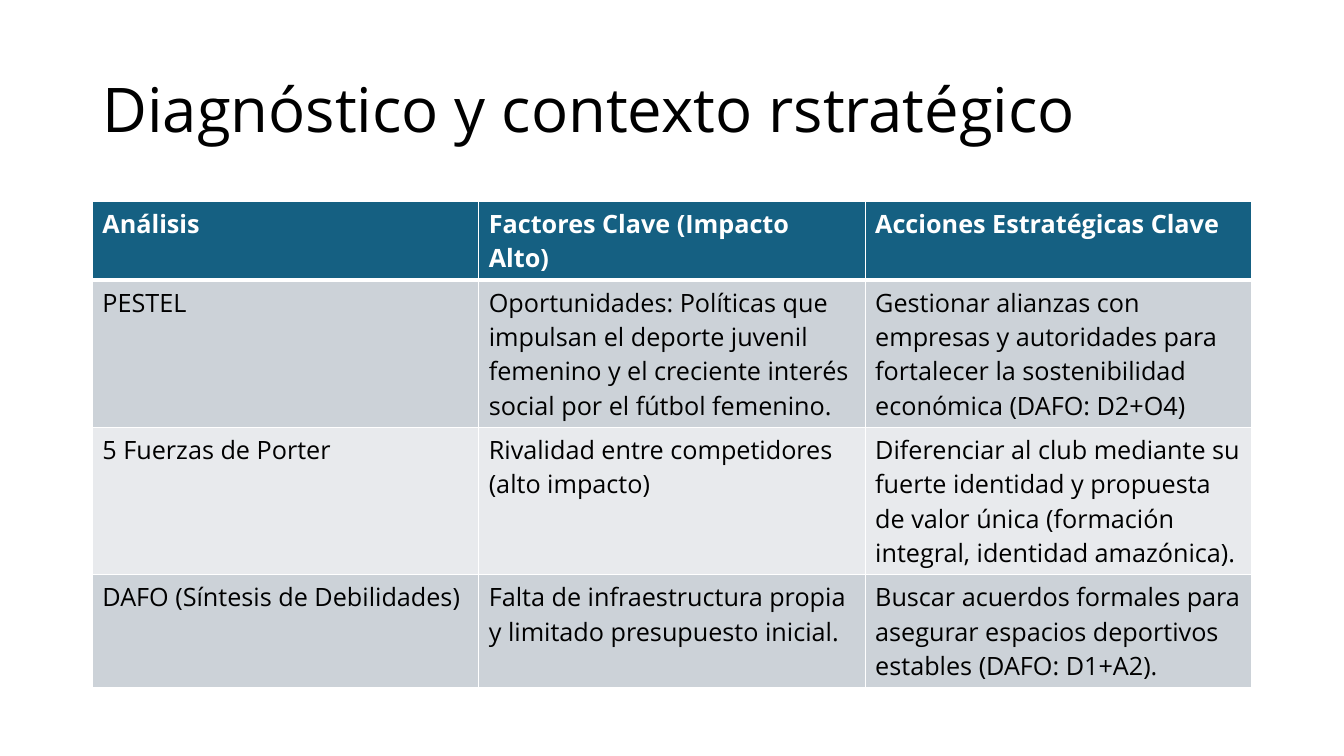
import lxml.etree
import pptx
import pptx.dml.color
import pptx.enum.text
import pptx.oxml.ns
import pptx.util

PX = 9525  # EMU per px, 96 px to the inch
FONT = "Open Sans"
COLOURS = {
    "white": "FFFFFF",
    "black": "000000",
    "header": "156082",
    "band_dark": "CCD2D8",
    "band_light": "E8EAED",
}

HEADING = "Diagnóstico y contexto rstratégico"
ANALYSIS = [
    ("Análisis", "Factores Clave (Impacto Alto)", "Acciones Estratégicas Clave"),
    (
        "PESTEL",
        "Oportunidades: Políticas que impulsan el deporte juvenil femenino "
        "y el creciente interés social por el fútbol femenino.",
        "Gestionar alianzas con empresas y autoridades para fortalecer "
        "la sostenibilidad económica (DAFO: D2+O4)",
    ),
    (
        "5 Fuerzas de Porter",
        "Rivalidad entre competidores (alto impacto)",
        "Diferenciar al club mediante su fuerte identidad y propuesta de valor "
        "única (formación integral, identidad amazónica).",
    ),
    (
        "DAFO (Síntesis de Debilidades)",
        "Falta de infraestructura propia y limitado presupuesto inicial.",
        "Buscar acuerdos formales para asegurar espacios deportivos estables "
        "(DAFO: D1+A2).",
    ),
]


def px(length):
    return pptx.util.Emu(length * PX)


def rgb(name):
    return pptx.dml.color.RGBColor.from_string(COLOURS[name])


def write(frame, text, size=18, colour="black", bold=False, line_spacing=None):
    paragraph = frame.paragraphs[0]
    paragraph.alignment = pptx.enum.text.PP_ALIGN.LEFT
    if line_spacing:
        paragraph.line_spacing = line_spacing
    run = paragraph.add_run()
    run.text = text
    run.font.name = FONT
    run.font.size = pptx.util.Pt(size)
    run.font.bold = bold
    run.font.color.rgb = rgb(colour)


class SlideBuilder:
    def __init__(self, slide):
        self.slide = slide

    def title(self, text, left, top, width, height):
        heading = self.slide.shapes.title
        heading.left, heading.top = px(left), px(top)
        heading.width, heading.height = px(width), px(height)
        frame = heading.text_frame
        frame.word_wrap = True
        frame.auto_size = pptx.enum.text.MSO_AUTO_SIZE.NONE
        frame.vertical_anchor = pptx.enum.text.MSO_ANCHOR.MIDDLE
        write(frame, text, size=44, line_spacing=0.9)

    def borders(self, cell, top, bottom):
        properties = cell._tc.get_or_add_tcPr()
        for side, points in (("L", 1), ("R", 1), ("T", top), ("B", bottom)):
            line = lxml.etree.SubElement(
                properties, pptx.oxml.ns.qn(f"a:ln{side}"), w=str(pptx.util.Pt(points))
            )
            fill = lxml.etree.SubElement(line, pptx.oxml.ns.qn("a:solidFill"))
            lxml.etree.SubElement(
                fill, pptx.oxml.ns.qn("a:srgbClr"), val=COLOURS["white"]
            )

    def table(self, rows, left, top, column_width, row_height):
        columns = len(rows[0])
        grid = self.slide.shapes.add_table(
            len(rows), columns, px(left), px(top),
            px(column_width * columns), px(row_height * len(rows)),
        ).table
        for column in grid.columns:
            column.width = px(column_width)
        for r, texts in enumerate(rows):
            is_header = r == 0
            band = "header" if is_header else "band_dark" if r % 2 else "band_light"
            for c, text in enumerate(texts):
                cell = grid.cell(r, c)
                # The rule under the header is thicker than the others
                self.borders(cell, top=3 if r == 1 else 1, bottom=3 if is_header else 1)
                cell.fill.solid()
                cell.fill.fore_color.rgb = rgb(band)
                write(cell.text_frame, text, bold=is_header,
                      colour="white" if is_header else "black")


def main():
    deck = pptx.Presentation()
    deck.slide_width, deck.slide_height = px(1280), px(720)
    builder = SlideBuilder(deck.slides.add_slide(deck.slide_layouts[5]))

    # Heading
    builder.title(HEADING, left=88, top=38, width=1104, height=139)

    # Analysis table; rows grow with their text
    builder.table(ANALYSIS, left=88, top=192, column_width=368, row_height=39)

    deck.save("out.pptx")


if __name__ == "__main__":
    main()
